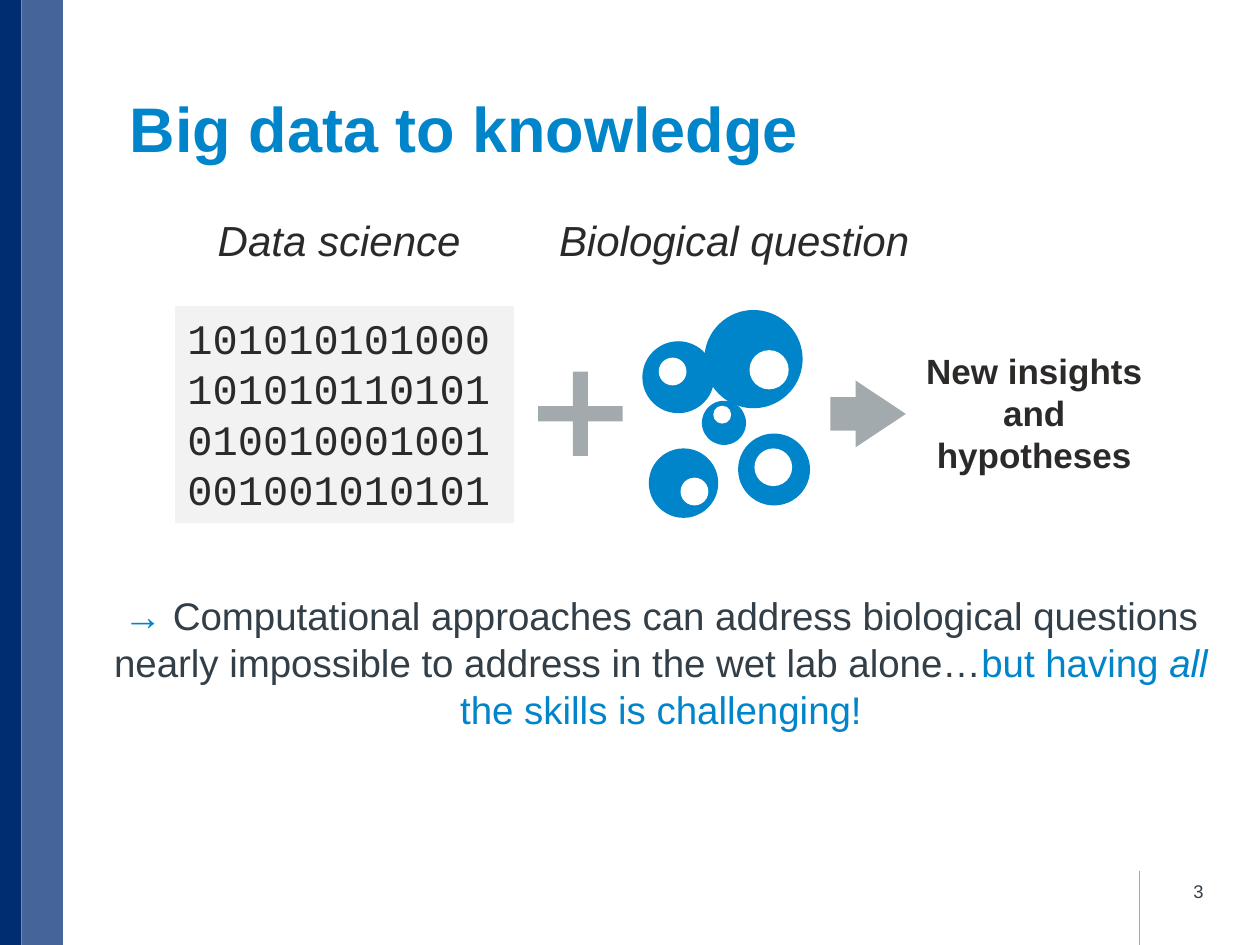
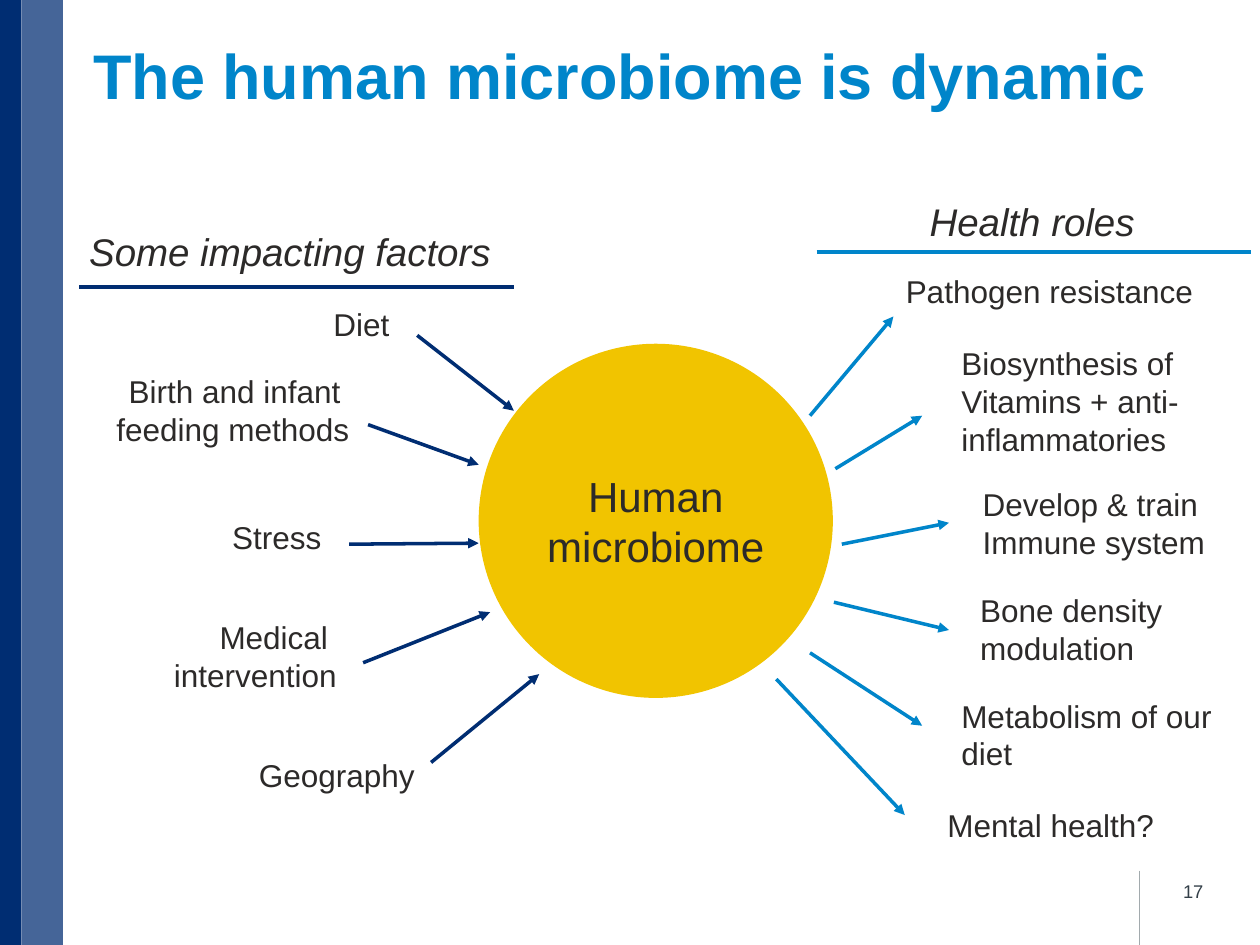
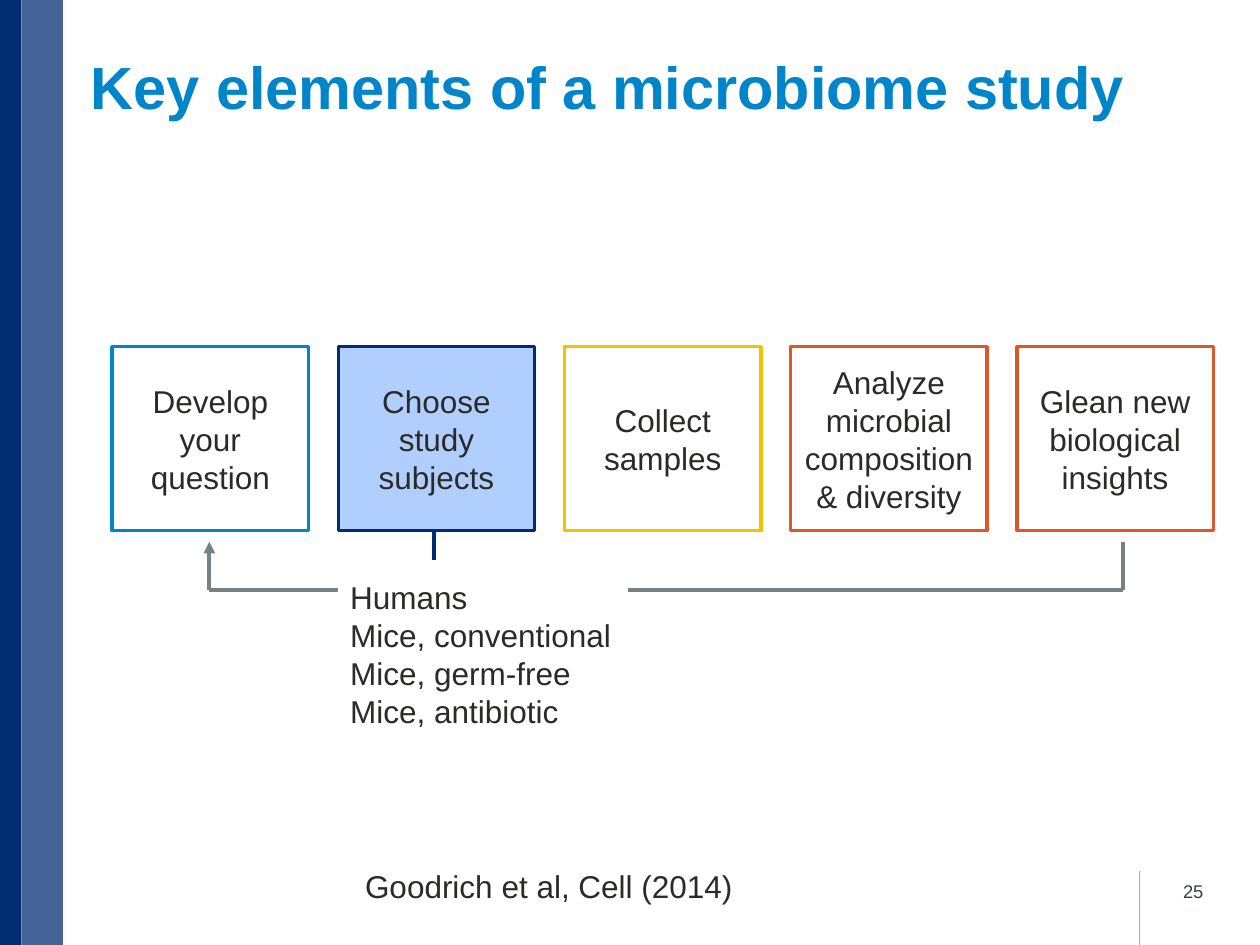
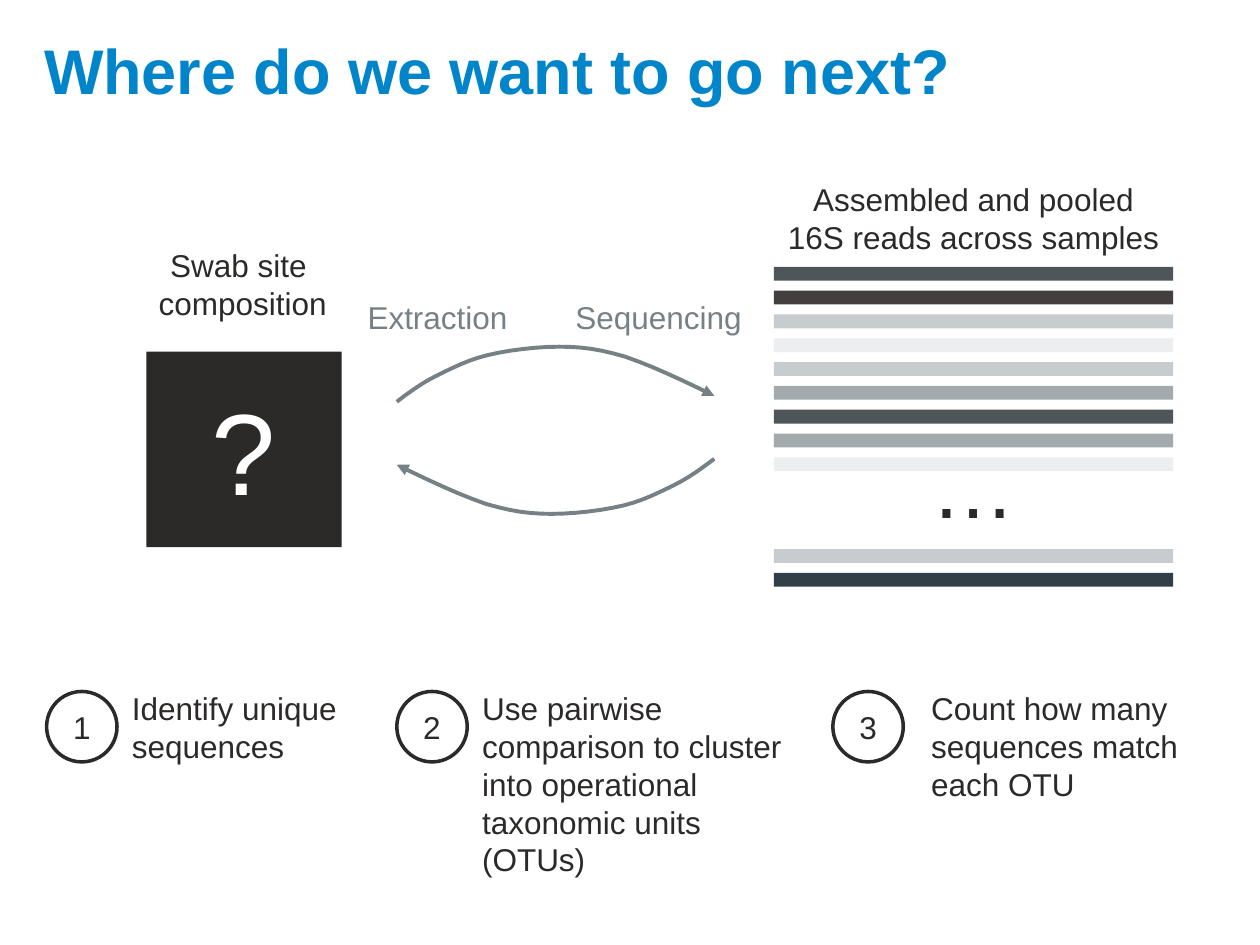
from lxml.etree import SubElement
from pptx import Presentation
from pptx.dml.color import RGBColor
from pptx.enum.shapes import MSO_CONNECTOR, MSO_SHAPE as SHAPE
from pptx.enum.text import MSO_ANCHOR as ANCHOR, PP_ALIGN as ALIGN
from pptx.oxml.ns import qn
from pptx.util import Cm, Pt

COLORS = {
    "blue": "0085CA", "navy": "002D72", "ink": "2C2A29", "slate": "333F48",
    "silver": "A2AAAD", "steel": "768186", "gold": "F1C400", "orange": "DC582A",
    "sky": "B0CFFF", "mist": "F2F2F2", "white": "FFFFFF", "iron": "4E5659",
    "umber": "423F3E", "ash": "C7CCCE", "pale": "ECEEEF",
}


def put(slide, box, text="", geometry=None, fill=None, outline=None, size=18, color="ink",
        align=ALIGN.LEFT, anchor=ANCHOR.TOP, bold=False, italic=False, font="Arial"):
    lengths = [Cm(value) for value in box]
    if geometry is None:
        item = slide.shapes.add_textbox(*lengths)
    else:
        item = slide.shapes.add_shape(geometry, *lengths)
        item.shadow.inherit = False
        if outline:
            item.line.color.rgb = RGBColor.from_string(COLORS[outline])
            item.line.width = Pt(2)
        else:
            item.line.fill.background()
        if fill:
            item.fill.solid()
            item.fill.fore_color.rgb = RGBColor.from_string(COLORS[fill])
        else:
            item.fill.background()
    frame = item.text_frame
    frame.word_wrap = True
    frame.vertical_anchor = anchor
    if text:
        frame.text = text
    for paragraph in frame.paragraphs:
        paragraph.alignment = align
        for run in paragraph.runs:
            run.font.name, run.font.size = font, Pt(size)
            run.font.bold, run.font.italic = bold, italic
            run.font.color.rgb = RGBColor.from_string(COLORS[color])
    return item


def trace(slide, points, color, weight=2.25, arrow=False):
    points = [(Cm(x), Cm(y)) for x, y in points]
    if len(points) == 2:
        stroke = slide.shapes.add_connector(MSO_CONNECTOR.STRAIGHT, *points[0], *points[1])
    else:
        outline = slide.shapes.build_freeform(*points[0], scale=1.0)
        outline.add_line_segments(points[1:], close=False)
        stroke = outline.convert_to_shape()
        stroke.fill.background()
    stroke.line.color.rgb = RGBColor.from_string(COLORS[color])
    stroke.line.width = Pt(weight)
    properties = stroke.element.spPr
    if arrow:
        SubElement(properties.find(qn("a:ln")), qn("a:tailEnd"), type="triangle")
    SubElement(properties, qn("a:effectLst"))


deck = Presentation()
deck.slide_width, deck.slide_height = Cm(25.4), Cm(19.05)

slides = []
for title, title_box, title_size, number in [
    ("Big data to knowledge", (2.62, 0.28, 21.89, 3.18), 36, "3"),
    ("The human microbiome is dynamic", (1.88, 0.23, 22.86, 2.16), 36, "17"),
    ("Key elements of a microbiome study", (1.83, -0.61, 24.18, 3.18), 34, "25"),
    ("Where do we want to go next?", (0.89, -0.89, 22.78, 3.18), 36, None),
]:
    slide = deck.slides.add_slide(deck.slide_layouts[6])
    if number:
        trace(slide, [(22.96, 17.55), (22.96, 19.05)], "silver", 0.25)
        put(slide, (0, 0, 0.43, 19.05), geometry=SHAPE.RECTANGLE, fill="navy")
        band = put(slide, (0.43, 0, 0.84, 19.05), geometry=SHAPE.RECTANGLE, fill="navy")
        SubElement(band.element.spPr.find(".//" + qn("a:srgbClr")), qn("a:alpha"), val="73000")
        put(slide, (18.59, 17.45, 5.92, 1.02), number, size=10.5, color="slate",
            align=ALIGN.RIGHT, anchor=ANCHOR.MIDDLE)
    heading = put(slide, title_box, title, size=title_size, color="blue",
                  anchor=ANCHOR.BOTTOM, bold=True)
    heading.text_frame.margin_left = 0
    slides.append(slide)
knowledge, microbiome, study, sequencing = slides

put(knowledge, (3.53, 6.17, 6.83, 4.37), "101010101000101010110101010010001001001001010101",
    SHAPE.RECTANGLE, "mist", size=24, font="Courier New")
plus = put(knowledge, (10.85, 7.49, 1.7, 1.7), geometry=SHAPE.CROSS, fill="silver")
plus.adjustments[0] = 0.41

for cell, nucleus in [
    ((12.95, 6.88, 1.45), (13.28, 7.21, 0.56)),
    ((14.88, 8.74, 1.45), (15.21, 9.04, 0.76)),
    ((14.2, 6.25, 1.98), (15.11, 7.06, 0.79)),
    ((14.15, 8.08, 0.89), (14.38, 8.18, 0.36)),
    ((13.08, 9.04, 1.4), (13.72, 9.63, 0.56)),
]:
    for (left, top, diameter), fill in [(cell, "blue"), (nucleus, "white")]:
        put(knowledge, (left, top, diameter, diameter), geometry=SHAPE.OVAL, fill=fill)

put(knowledge, (4.14, 4.19, 5.59, 1.27), "Data science", size=24, italic=True)
put(knowledge, (11.02, 4.19, 7.82, 1.27), "Biological question", size=24, italic=True)
outcome = put(knowledge, (16.74, 7.67, 1.52, 1.35), geometry=SHAPE.RIGHT_ARROW, fill="silver")
outcome.adjustments[1] = 0.75
put(knowledge, (18.21, 6.93, 5.28, 2.82), "New insights and hypotheses", size=20,
    align=ALIGN.CENTER, bold=True)

message = put(knowledge, (2.21, 11.79, 22.48, 3.63), align=ALIGN.CENTER)
message.text_frame.margin_left = 0
sentence = message.text_frame.paragraphs[0]
sentence.line_spacing = 1.02
sentence.space_after = Pt(14)
for words, color, italic in [
    ("→ ", "blue", False),
    ("Computational approaches can address biological questions nearly impossible "
     "to address in the wet lab alone…", "slate", False),
    ("but having ", "blue", False),
    ("all", "blue", True),
    (" the skills is challenging!", "blue", False),
]:
    run = sentence.add_run()
    run.text = words
    run.font.name, run.font.size, run.font.italic = "Arial", Pt(22), italic
    run.font.color.rgb = RGBColor.from_string(COLORS[color])

put(microbiome, (9.65, 6.93, 7.14, 7.14), "Human microbiome", SHAPE.OVAL, "gold",
    size=24, align=ALIGN.CENTER, anchor=ANCHOR.MIDDLE)

factors = [
    ("Diet", (6.4, 6.02, 1.7, 1.02), [(8.41, 6.76), (10.36, 8.28)]),
    ("Birth and infant \nfeeding methods", (0.23, 7.37, 7.06, 1.8), [(7.42, 8.56), (9.65, 9.37)]),
    ("Stress", (3.63, 10.31, 3.1, 1.02), [(7.04, 10.97), (9.65, 10.95)]),
    ("Medical \nintervention", (-0.61, 12.34, 7.65, 1.8), [(7.32, 13.36), (9.88, 12.34)]),
    ("Geography", (1.55, 15.11, 7.06, 1.02), [(8.69, 15.37), (10.87, 13.59)]),
]
roles = [
    ("Pathogen resistance", (18.01, 5.36, 6.4, 1.02), [(16.33, 8.38), (18.01, 6.38)]),
    ("Biosynthesis of\nVitamins + anti-inflammatories", (19.13, 6.81, 5.97, 2.57),
     [(16.84, 9.45), (18.59, 8.38)]),
    ("Develop & train\nImmune system", (19.56, 9.65, 5.1, 1.8), [(16.97, 10.97), (19.13, 10.54)]),
    ("Bone density\nmodulation", (19.51, 11.79, 4.39, 1.8), [(16.81, 12.14), (19.13, 12.7)]),
    ("Metabolism of our diet", (19.13, 13.92, 5.79, 1.8), [(16.33, 13.16), (18.59, 14.63)]),
    ("Mental health?", (18.85, 16.13, 4.75, 1.02), [(15.65, 13.69), (18.24, 16.43)]),
]
for header, header_box, rule, color, align, effects in [
    ("Some impacting factors", (1.55, 4.47, 8.75, 1.19), [(1.6, 5.79), (10.36, 5.79)],
     "navy", ALIGN.RIGHT, factors),
    ("Health roles", (18.49, 3.86, 4.75, 1.19), [(16.46, 5.08), (25.22, 5.08)],
     "blue", ALIGN.LEFT, roles),
]:
    put(microbiome, header_box, header, size=22, italic=True)
    trace(microbiome, rule, color)
    for effect, effect_box, route in effects:
        put(microbiome, effect_box, effect, align=align)
        trace(microbiome, route, color, 2, arrow=True)

feedback = [(22.63, 10.92), (22.63, 11.89), (4.22, 11.89), (4.22, 10.92)]
for index in range(3):
    trace(study, feedback[index:index + 2], "steel", arrow=index == 2)

for index, (step, outline, fill) in enumerate([
    ("Develop your question", "blue", None),
    ("Choose study subjects", "navy", "sky"),
    ("Collect samples", "gold", None),
    ("Analyze microbial composition & diversity", "orange", None),
    ("Glean new biological insights", "orange", None),
]):
    put(study, (2.26 + 4.56 * index, 6.99, 3.96, 3.71), step, SHAPE.RECTANGLE, fill, outline,
        align=ALIGN.CENTER, anchor=ANCHOR.MIDDLE)

trace(study, [(8.74, 10.69), (8.74, 11.28)], "navy")
put(study, (6.81, 11.53, 5.85, 3.33),
    "Humans\nMice, conventional\nMice, germ-free\nMice, antibiotic", SHAPE.RECTANGLE, "white")
put(study, (7.11, 17.35, 8.05, 1.02), "Goodrich et al, Cell (2014)")

for stack_top, reads in [
    (5.38, ["iron", "umber", "ash", "pale", "ash", "silver", "iron", "silver", "pale"]),
    (11.07, ["ash", "slate"]),
]:
    for index, read in enumerate(reads):
        put(sequencing, (15.6, stack_top + 0.48 * index, 8.05, 0.28),
            geometry=SHAPE.RECTANGLE, fill=read)
put(sequencing, (18.52, 8.64, 2.25, 2.31), "…", size=48)
put(sequencing, (15.6, 3.51, 8.05, 1.8), "Assembled and pooled 16S reads across samples",
    align=ALIGN.CENTER)

put(sequencing, (2.92, 4.83, 3.95, 1.8), "Swab site \ncomposition", align=ALIGN.CENTER)
put(sequencing, (2.95, 7.09, 3.94, 3.94), "?", SHAPE.RECTANGLE, "ink", size=66, color="white",
    align=ALIGN.CENTER, anchor=ANCHOR.MIDDLE)
put(sequencing, (7.16, 5.89, 3.4, 1.02), "Extraction", color="steel")
put(sequencing, (11.35, 5.89, 3.92, 1.02), "Sequencing", color="steel")

bends = [
    (8, 8.1), (8.26, 7.9), (8.51, 7.72), (8.81, 7.57), (9.12, 7.42), (9.42, 7.26),
    (9.83, 7.16), (10.24, 7.06), (10.82, 6.99), (11.28, 6.99), (11.73, 6.99), (12.09, 7.04),
    (12.6, 7.19), (13.13, 7.37), (13.77, 7.67), (14.4, 7.98),
]
forward = [bends[0]]
for start in range(0, len(bends) - 1, 3):
    controls = bends[start:start + 4]
    for step in range(1, 7):
        t = step / 6
        weights = [(1 - t) ** 3, 3 * t * (1 - t) ** 2, 3 * t ** 2 * (1 - t), t ** 3]
        forward.append(tuple(sum(w * point[axis] for w, point in zip(weights, controls))
                             for axis in (0, 1)))
backward = [(22.4 - x, 17.35 - y) for x, y in forward]
for route in (forward, backward):
    trace(sequencing, route, "steel", arrow=True)

for number, (circle_left, task, left, width, height) in enumerate([
    (0.94, "Identify unique\nsequences", 2.41, 4.85, 1.8),
    (8, "Use pairwise comparison to cluster into operational taxonomic units (OTUs)",
     9.47, 6.73, 4.11),
    (16.79, "Count how many sequences match each OTU", 18.52, 5.82, 2.57),
], start=1):
    put(sequencing, (circle_left, 13.94, 1.42, 1.42), str(number), SHAPE.OVAL, "white", "ink",
        align=ALIGN.CENTER, anchor=ANCHOR.MIDDLE)
    put(sequencing, (left, 13.77, width, height), task)

deck.save("out.pptx")
